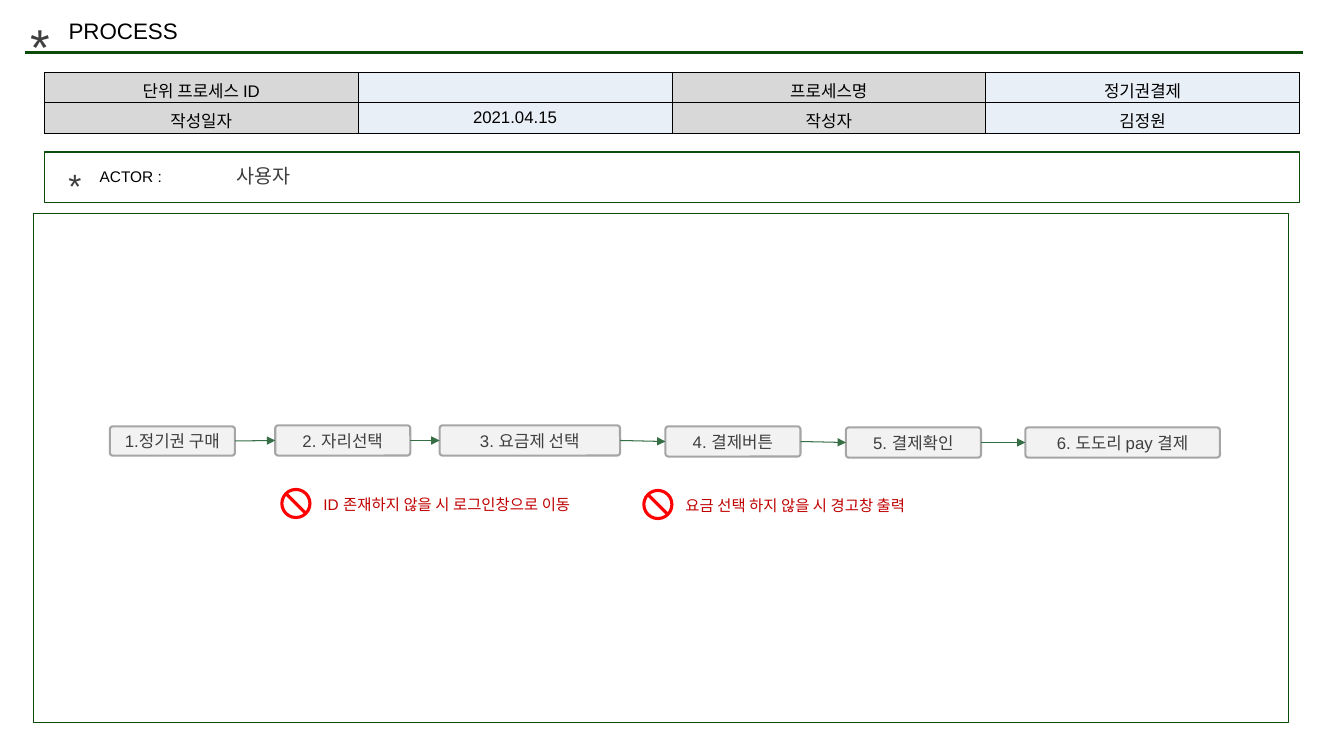
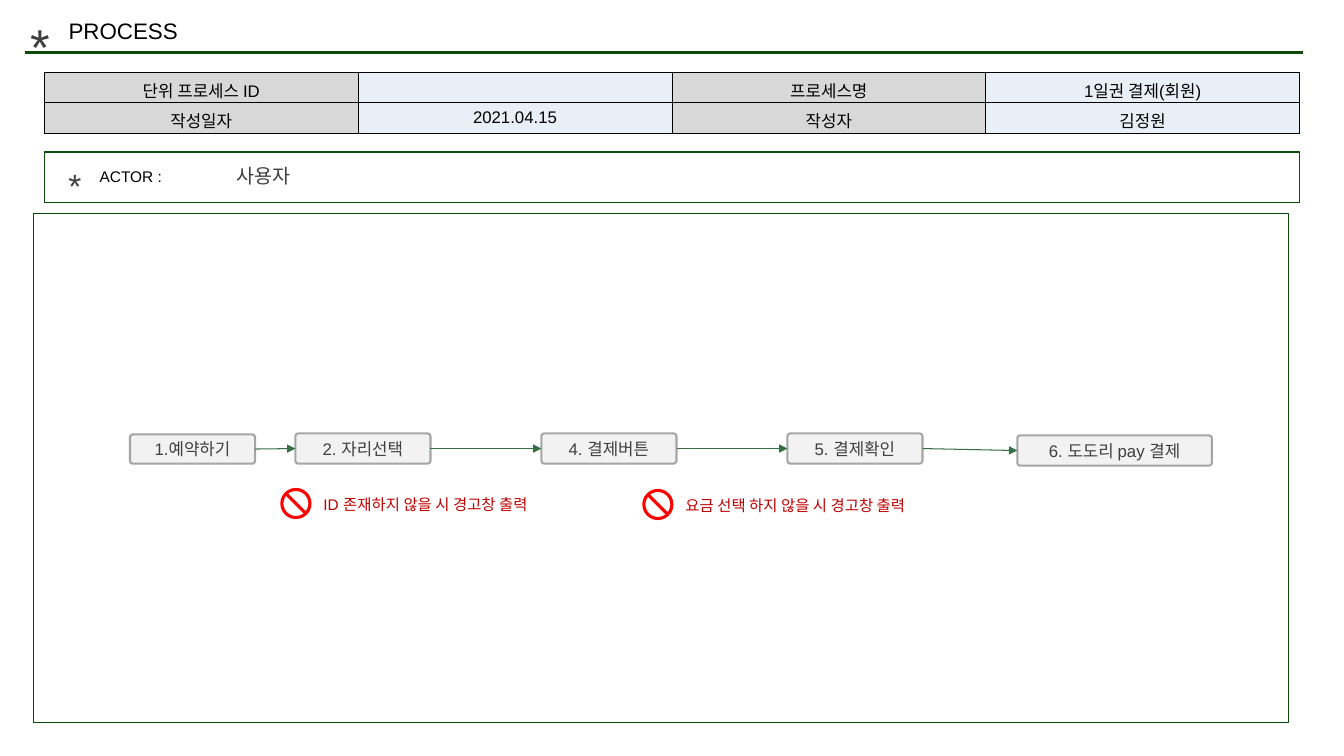
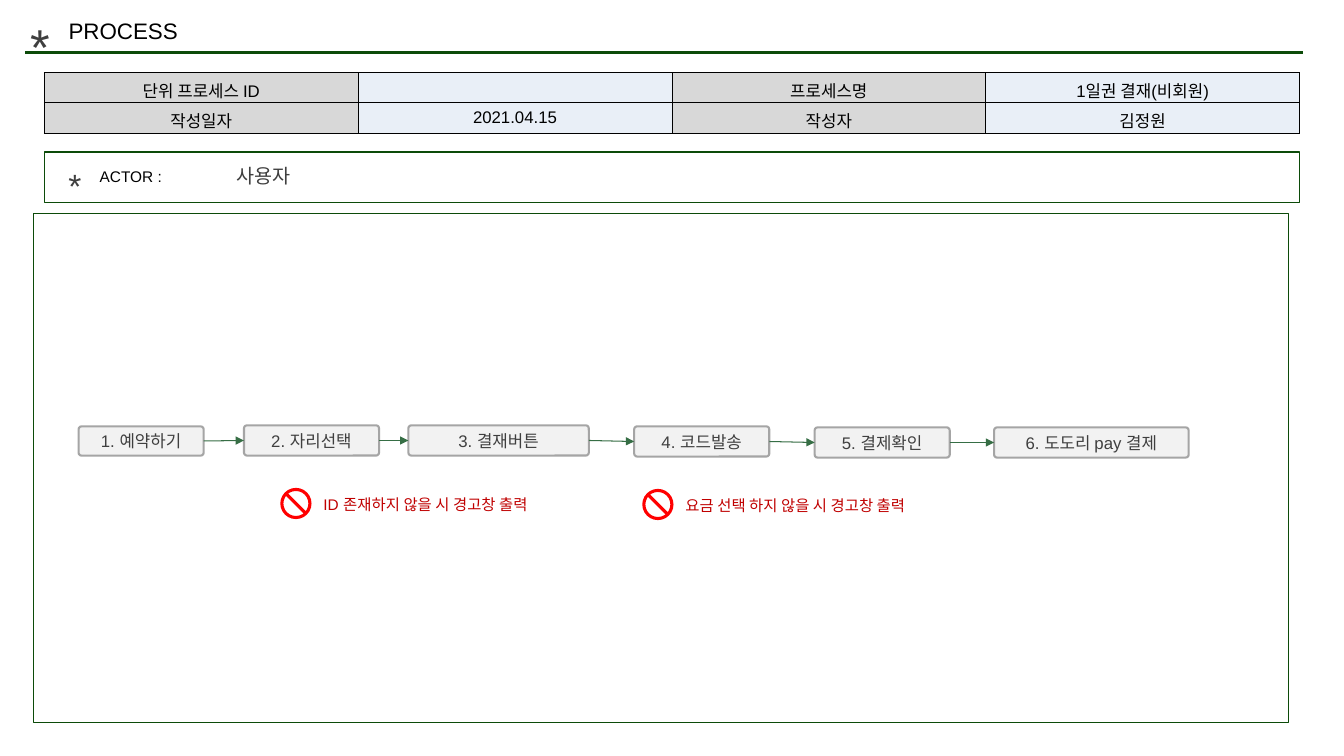
from dataclasses import dataclass
from itertools import pairwise

from lxml.etree import SubElement
from pptx import Presentation
from pptx.dml.color import RGBColor as Rgb
from pptx.enum.shapes import MSO_CONNECTOR as Link, MSO_SHAPE as Preset
from pptx.enum.text import MSO_ANCHOR as Anchor, MSO_AUTO_SIZE as Fit, PP_ALIGN as Align
from pptx.oxml.ns import qn
from pptx.util import Inches, Pt


@dataclass(frozen=True)
class Theme:
    font: str = "Arial"
    black: str = "000000"
    gray: str = "3F3F3F"
    green: str = "0C4B09"
    arrow: str = "366E45"
    warning: str = "C00000"
    sign: str = "FF0000"
    step_fill: str = "F2F2F2"
    step_line: str = "A5A5A5"
    label_fill: str = "D8D8D8"
    value_fill: str = "E9EFF7"
    big_star: int = 36
    small_star: int = 24
    title: int = 16
    actor: int = 14
    body: int = 12
    note: int = 11


class Builder:
    def __init__(self, deck, theme):
        self.deck, self.theme = deck, theme
        self.layout = deck.slide_layouts[5]
        self.page = None

    def new_page(self):
        self.page = self.deck.slides.add_slide(self.layout)

    def set_text(self, frame, text, size, color, align=Align.LEFT, anchor=Anchor.TOP):
        frame.word_wrap = True
        frame.vertical_anchor = anchor
        self.span(frame.paragraphs[0], text, size, color, align)

    def span(self, para, text, size, color, align):
        para.alignment = align
        span = para.add_run()
        span.text = text
        span.font.name = self.theme.font
        span.font.size = Pt(size)
        span.font.color.rgb = Rgb.from_string(color)

    def title(self, text, left, top, width, height):
        box = self.page.shapes.title
        box.left, box.top = Inches(left), Inches(top)
        box.width, box.height = Inches(width), Inches(height)
        box.text_frame.auto_size = Fit.NONE
        self.set_text(box.text_frame, text, self.theme.title, self.theme.black)

    def text(self, text, left, top, width, height, size, color):
        box = self.page.shapes.add_textbox(
            Inches(left), Inches(top), Inches(width), Inches(height))
        self.set_text(box.text_frame, text, size, color)

    def shape(self, preset, left, top, width, height, fill=None, line=None, weight=1):
        box = self.page.shapes.add_shape(
            preset, Inches(left), Inches(top), Inches(width), Inches(height))
        box.shadow.inherit = False
        if fill:
            box.fill.solid()
            box.fill.fore_color.rgb = Rgb.from_string(fill)
        else:
            box.fill.background()
        if line:
            box.line.color.rgb = Rgb.from_string(line)
            box.line.width = Pt(weight)
        else:
            box.line.fill.background()
        return box

    def line(self, start, end, color, weight):
        line = self.page.shapes.add_connector(Link.STRAIGHT, *map(Inches, start + end))
        line.line.color.rgb = Rgb.from_string(color)
        line.line.width = Pt(weight)
        SubElement(line.element.spPr, qn("a:effectLst"))
        return line

    def layout_rule(self):
        """Draw the title rule and hand it to the layout, so every slide shows it."""
        rule = self.line((0.25, 0.52), (12.92, 0.52), self.theme.green, 2.25)
        self.layout.shapes.element.append(rule.element)

    def arrow(self, source, target):
        arrow = self.line((0, 0), (1, 1), self.theme.arrow, 0.75)
        arrow.begin_connect(source, 3)
        arrow.end_connect(target, 1)
        SubElement(arrow.element.spPr.find(qn("a:ln")), qn("a:tailEnd"), type="triangle")

    def step(self, text, left, top, width, height):
        theme = self.theme
        box = self.shape(Preset.ROUNDED_RECTANGLE, left, top, width, height,
                         theme.step_fill, theme.step_line, 1.5)
        box.adjustments[0] = 0.1
        frame = box.text_frame
        frame.margin_left = frame.margin_right = Inches(0.04)
        frame.margin_top = frame.margin_bottom = Inches(0.04)
        self.set_text(frame, text, theme.body, theme.gray, Align.CENTER, Anchor.MIDDLE)
        return box

    def flow(self, labels, slots, shift):
        steps = [self.step(label, left + shift, top, width, height)
                 for label, (left, top, width, height) in zip(labels, slots)]
        for source, target in pairwise(steps):
            self.arrow(source, target)

    def warning(self, text, left, top, width):
        sign = self.shape(Preset.NO_SYMBOL, left, top, 0.31, 0.31, self.theme.sign)
        sign.adjustments[0] = 0.1
        self.text(text, left + 0.33, top + 0.02, width, 0.28,
                  self.theme.note, self.theme.warning)

    def table(self, rows, left, top, width, height):
        theme = self.theme
        table = self.page.shapes.add_table(
            len(rows), len(rows[0]), Inches(left), Inches(top),
            Inches(width), Inches(height)).table
        table.first_row = table.horz_banding = False
        for r, row in enumerate(rows):
            for c, text in enumerate(row):
                cell = table.cell(r, c)
                self.borders(cell)
                cell.fill.solid()
                fill = theme.value_fill if c % 2 else theme.label_fill
                cell.fill.fore_color.rgb = Rgb.from_string(fill)
                cell.vertical_anchor = Anchor.MIDDLE
                para = cell.text_frame.paragraphs[0]
                if text:
                    self.span(para, text, theme.body, theme.black, Align.CENTER)
                else:
                    # An empty cell still needs the small type size
                    SubElement(para._p, qn("a:endParaRPr"), sz=str(theme.body * 100))

    def borders(self, cell):
        props = cell._tc.get_or_add_tcPr()
        for side in ("a:lnL", "a:lnR", "a:lnT", "a:lnB"):
            edge = SubElement(props, qn(side), w=str(Pt(0.75)))
            fill = SubElement(edge, qn("a:solidFill"))
            SubElement(fill, qn("a:srgbClr"), val=self.theme.black)

    def process_header(self, name):
        theme = self.theme
        # Title
        self.text("*", 0.2, 0.1, 0.52, 0.71, theme.big_star, theme.gray)
        self.title("PROCESS", 0.58, 0.12, 4.32, 0.37)
        # Process facts
        self.table([("단위 프로세스 ID", "", "프로세스명", name),
                    ("작성일자", "2021.04.15", "작성자", "김정원")],
                   0.44, 0.72, 12.45, 0.6)
        # Actor band
        self.text("*", 0.58, 1.59, 0.52, 0.49, theme.small_star, theme.gray)
        self.text("ACTOR :", 0.89, 1.61, 1.33, 0.29, theme.note, theme.black)
        self.shape(Preset.RECTANGLE, 0.44, 1.51, 12.45, 0.5, line=theme.green)
        self.text("사용자", 2.25, 1.58, 4.32, 0.32, theme.actor, theme.gray)
        # Flow frame
        self.shape(Preset.RECTANGLE, 0.33, 2.12, 12.45, 5.05, line=theme.green)


# Step places: left, top, width, height
SIX_STEPS = [(1.09, 4.23, 1.24, 0.29), (2.73, 4.22, 1.34, 0.3), (4.36, 4.22, 1.79, 0.3),
             (6.6, 4.23, 1.34, 0.3), (8.39, 4.24, 1.34, 0.3), (10.17, 4.24, 1.93, 0.3)]
FIVE_STEPS = [(1.29, 4.31, 1.24, 0.29), (2.93, 4.3, 1.34, 0.3), (5.37, 4.3, 1.34, 0.3),
              (7.81, 4.3, 1.34, 0.3), (10.09, 4.32, 1.93, 0.3)]
TO_LOGIN = "ID 존재하지 않을 시 로그인창으로 이동"
NO_ID = "ID 존재하지 않을 시 경고창 출력"
NO_FEE = "요금 선택 하지 않을 시 경고창 출력"
CONFIRM, PAY = "5. 결제확인", "6. 도도리 pay 결제"

# Process name, step labels, step places, shift to the right, first warning
PROCESSES = [
    ("정기권결제",
     ["1.정기권 구매", "2. 자리선택", "3. 요금제 선택", "4. 결제버튼", CONFIRM, PAY],
     SIX_STEPS, 0, TO_LOGIN),
    ("1일권 결제(회원)",
     ["1.예약하기", "2. 자리선택", "4. 결제버튼", CONFIRM, PAY],
     FIVE_STEPS, 0, NO_ID),
    ("1일권 결재(비회원)",
     ["1. 예약하기", "2. 자리선택", "3. 결재버튼", "4. 코드발송", CONFIRM, PAY],
     SIX_STEPS, -0.31, NO_ID),
]

deck = Presentation()
deck.slide_width, deck.slide_height = Inches(13.33), Inches(7.5)
builder = Builder(deck, Theme())

for number, (name, labels, slots, shift, first_warning) in enumerate(PROCESSES):
    builder.new_page()
    if number == 0:
        builder.layout_rule()
    builder.process_header(name)
    builder.flow(labels, slots, shift)
    builder.warning(first_warning, 2.78, 4.84, 2.95)
    builder.warning(NO_FEE, 6.37, 4.85, 2.61)

deck.save("out.pptx")
